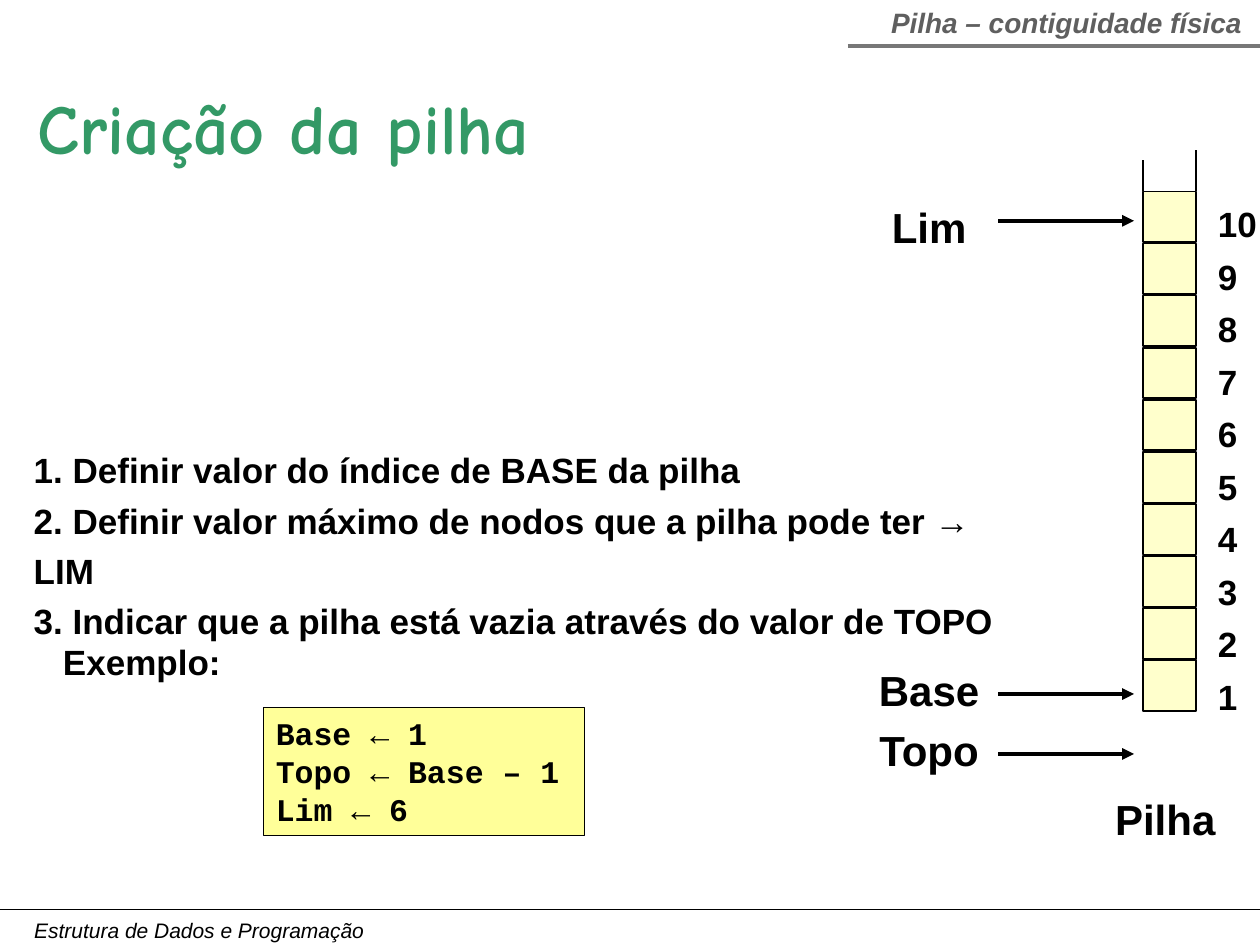
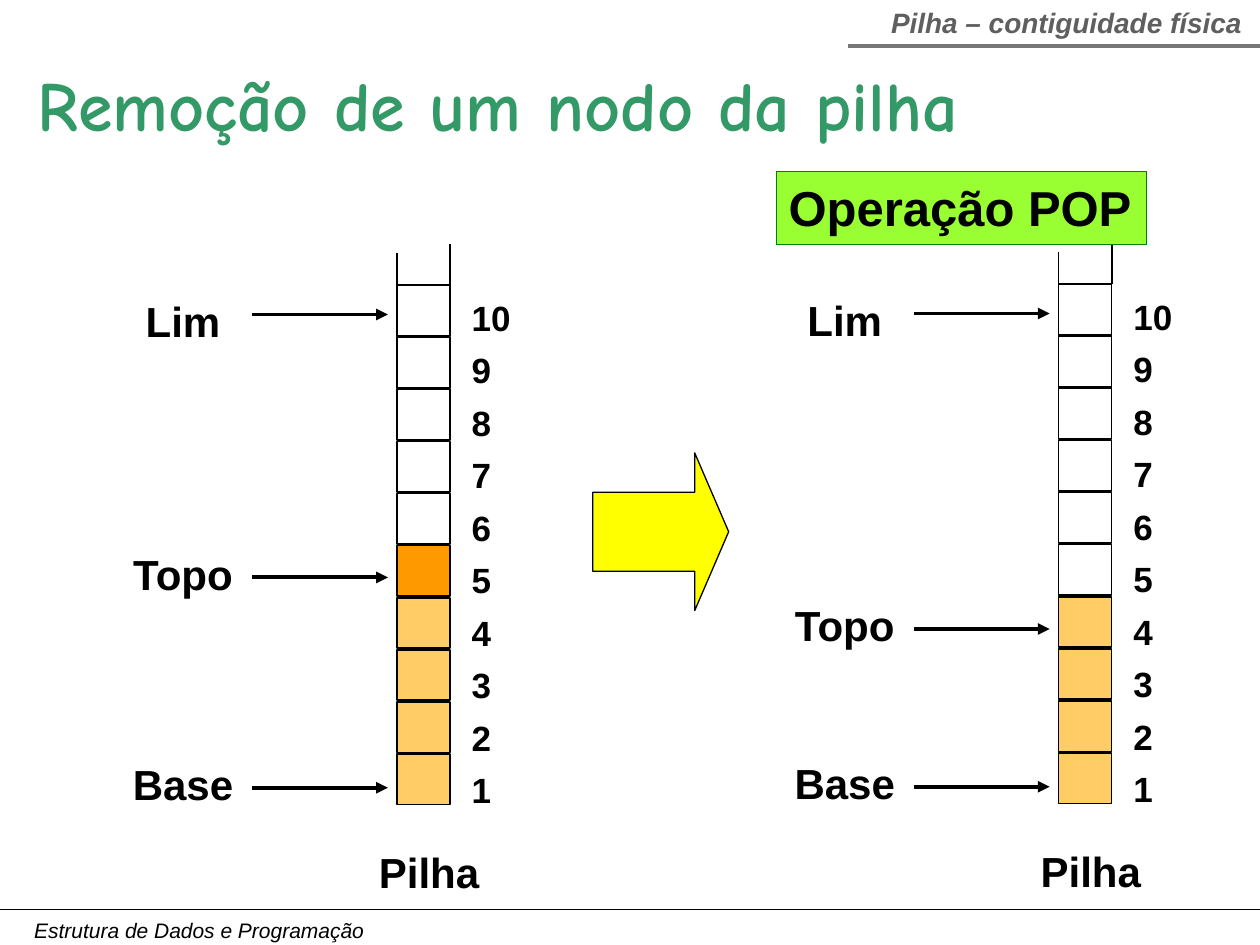
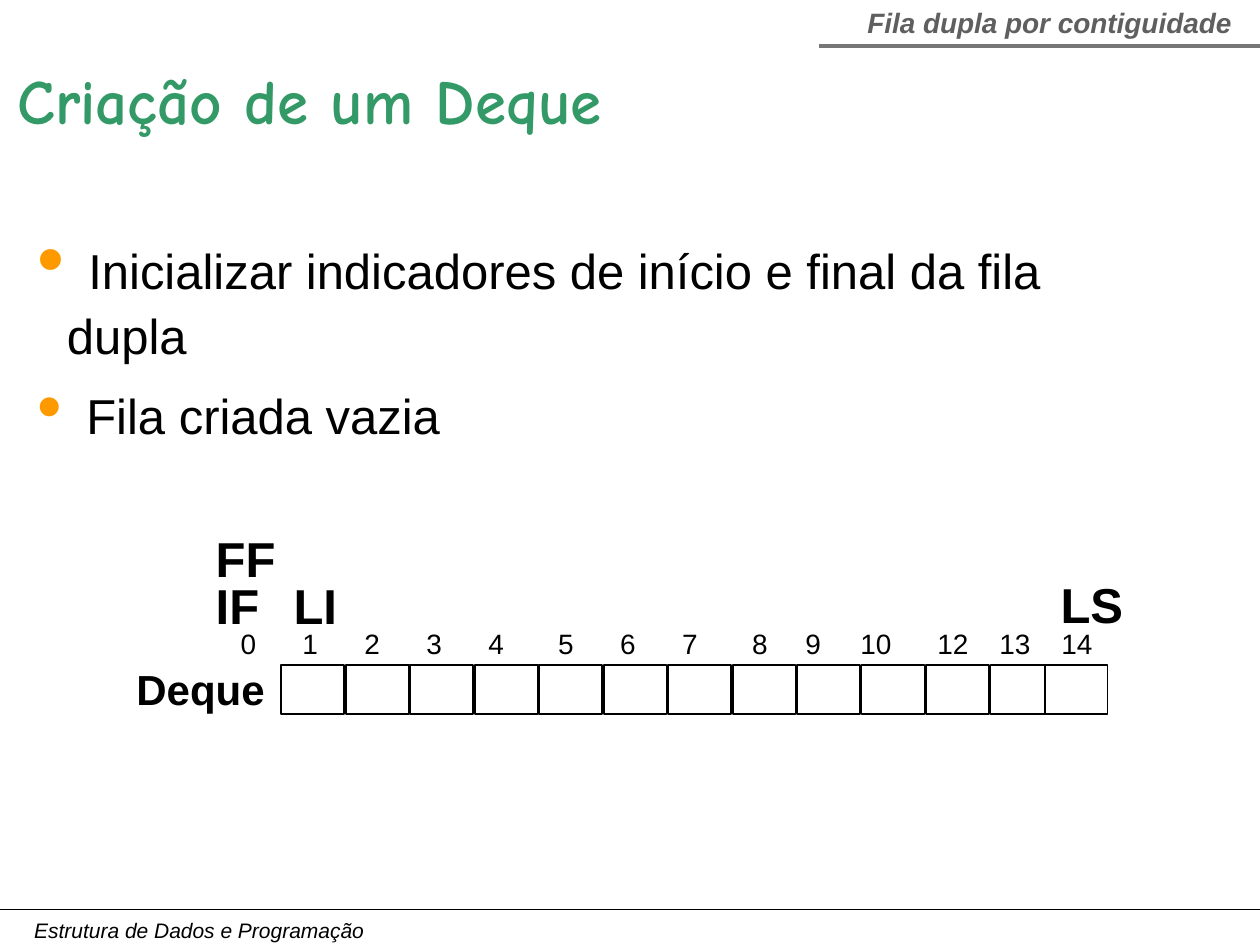
from pptx import Presentation
from pptx.dml.color import RGBColor
from pptx.enum.shapes import MSO_CONNECTOR, MSO_SHAPE
from pptx.enum.text import MSO_ANCHOR, PP_ALIGN
from pptx.oxml.ns import qn
from pptx.util import Cm, Pt
from lxml.etree import SubElement

# Shared colours and fonts
BLACK = RGBColor(0x00, 0x00, 0x00)
WHITE = RGBColor(0xFF, 0xFF, 0xFF)
GREEN = RGBColor(0x33, 0x99, 0x66)
GREY = RGBColor(0x5F, 0x5F, 0x5F)
RULE = RGBColor(0x77, 0x77, 0x77)
CREAM = RGBColor(0xFF, 0xFF, 0xCC)
NOTE = RGBColor(0xFF, 0xFF, 0x99)
TAN = RGBColor(0xFF, 0xCC, 0x66)
ORANGE = RGBColor(0xFF, 0x99, 0x00)
YELLOW = RGBColor(0xFF, 0xFF, 0x00)
LIME = RGBColor(0x99, 0xFF, 0x33)
DARK_GREEN = RGBColor(0x00, 0x80, 0x00)
BODY, TITLE, CODE = "Arial", "Comic Neue", "Courier New"

# Content (positions in cm)
FOOTER = "Estrutura de Dados e Programação"
STACK_HEADER = ("Pilha – contiguidade física", 17.7, 7.6, 17.09)
DEQUE_HEADER = ("Fila dupla por contiguidade", 17.22, 7.88, 16.51)

STEPS = ["1. Definir valor do índice de BASE da pilha",
         "2. Definir valor máximo de nodos que a pilha pode ter → LIM",
         "3. Indicar que a pilha está vazia através do valor de TOPO"]
EXAMPLE = ["Base ← 1", "Topo ← Base – 1", "Lim ← 6"]

# Each stack: place, cell fills from slot 1 up, slot of each pointer, caption offset
EMPTY_STACK = dict(x=23.04, y=3.86, fills=[CREAM] * 10,
                   pointers={"Lim": 10, "Topo": -0.14, "Base": 1}, caption=(-0.81, 12.01))
BEFORE_POP = dict(x=8, y=5.75, fills=[TAN] * 4 + [ORANGE] + [WHITE] * 5,
                  pointers={"Lim": 10, "Topo": 5, "Base": 1}, caption=(-0.61, 11.18))
AFTER_POP = dict(x=21.34, y=5.73, fills=[TAN] * 4 + [WHITE] * 6,
                 pointers={"Lim": 10, "Topo": 4, "Base": 1}, caption=(-0.61, 11.18))

BULLETS = [(44, "Inicializar indicadores de início e final da fila dupla"),
           (40, "Fila criada vazia")]
# Deque numbers and the centres of their tab stops
FIRST_INDEX = "0"
INDEX_TABS = [("1", 1.4), ("2", 2.65), ("3", 3.9), ("4", 5.15), ("5", 6.56),
              ("6", 7.81), ("7", 9.06), ("8", 10.47), ("9", 11.54), ("10", 12.81),
              ("12", 14.36), ("13", 15.61), ("14", 16.86)]
DEQUE_MARKS = [("LI", 5.67, 11.48), ("LS", 21.13, 11.46), ("IF", 4.1, 11.48), ("FF", 4.1, 10.52)]


def add_run(p, text, size, color=BLACK, font=BODY, bold=True, italic=False):
    r = p.add_run()
    r.text = text
    f = r.font
    f.size, f.name, f.bold, f.italic = Pt(size), font, bold, italic
    f.color.rgb = color


def fill_text(s, lines, size, align=PP_ALIGN.LEFT, spacing=None,
              anchor=MSO_ANCHOR.TOP, **style):
    tf = s.text_frame
    tf.word_wrap = True
    tf.vertical_anchor = anchor
    for i, line in enumerate(lines):
        p = tf.add_paragraph() if i else tf.paragraphs[0]
        p.alignment = align
        if spacing:
            p.line_spacing = spacing
        add_run(p, line, size, **style)
    return s


def add_text(sl, x, y, w, h, lines, size, **options):
    s = sl.shapes.add_textbox(Cm(x), Cm(y), Cm(w), Cm(h))
    return fill_text(s, lines, size, **options)


def add_box(sl, x, y, w, h, fill, line=BLACK, weight=1, kind=MSO_SHAPE.RECTANGLE):
    s = sl.shapes.add_shape(kind, Cm(x), Cm(y), Cm(w), Cm(h))
    s.shadow.inherit = False
    s.fill.solid()
    s.fill.fore_color.rgb = fill
    s.line.color.rgb = line
    s.line.width = Pt(weight)
    return s


def add_line(sl, x1, y1, x2, y2, weight, color=BLACK, arrow=False):
    c = sl.shapes.add_connector(MSO_CONNECTOR.STRAIGHT, Cm(x1), Cm(y1), Cm(x2), Cm(y2))
    c.line.color.rgb = color
    c.line.width = Pt(weight)
    if arrow:
        SubElement(c.line._get_or_add_ln(), qn("a:tailEnd"), type="triangle")
    SubElement(c._element.spPr, qn("a:effectLst"))


def new_slide(prs, header, title, x, y, size):
    """Slide with footer, section header and title."""
    sl = prs.slides.add_slide(prs.slide_layouts[6])
    add_text(sl, 0.44, 18.37, 7.4, 0.76, [FOOTER], 12, bold=False, italic=True)
    add_line(sl, 0, 18.33, 25.4, 18.33, 0.75)
    text, left, width, rule = header
    add_line(sl, rule, 0.92, 25.4, 0.92, 2.25, RULE)
    add_text(sl, left, -0.01, width, 0.94, [text], 16, align=PP_ALIGN.CENTER,
             color=GREY, italic=True)
    add_text(sl, x, y, 20.6, 1.96, [title], size, color=GREEN, font=TITLE)
    return sl


def add_stack(sl, x, y, fills, pointers, caption):
    cell_w, cell_h, pitch = 1.07, 1.02, 1.05
    count = len(fills)
    for slot, fill in enumerate(fills, 1):
        add_box(sl, x, y + (count - slot) * pitch, cell_w, cell_h, fill)
    # Open top
    for rail, height in ((x, 0.64), (x + cell_w, 0.84)):
        add_line(sl, rail, y, rail, y - height, 1)
    # Pointers
    for label, slot in pointers.items():
        level = y + 0.59 + (count - slot) * 1.06
        shift = 0.13 if label == "Lim" else -0.08
        add_text(sl, x - 5.81, level + shift - 0.56, 3, 1.12, [label], 24,
                 align=PP_ALIGN.CENTER, anchor=MSO_ANCHOR.MIDDLE)
        add_line(sl, x - 2.92, level, x - 0.18, level, 2.25, arrow=True)
    # Slot numbers and caption
    add_text(sl, x + 1.26, y - 0.11, 1.3, 10.85, [str(n) for n in range(count, 0, -1)],
             20, spacing=1.25)
    dx, dy = caption
    add_text(sl, x + dx, y + dy, 2.7, 1.27, ["Pilha"], 24)


def build_creation(prs):
    sl = new_slide(prs, STACK_HEADER, "Criação da pilha", 0.51, 1.57, 40)
    add_stack(sl, **EMPTY_STACK)
    add_text(sl, 0.43, 8.75, 20.5, 4.3, STEPS, 20, spacing=1.2)
    add_text(sl, 1.02, 12.79, 4.2, 1.09, ["Exemplo:"], 20)
    s = add_box(sl, 5.31, 14.27, 6.48, 2.57, NOTE, weight=0.75)
    fill_text(s, EXAMPLE, 18, font=CODE)


def build_removal(prs):
    sl = new_slide(prs, STACK_HEADER, "Remoção de um nodo da pilha", 0.51, 1.12, 40)
    for stack in (BEFORE_POP, AFTER_POP):
        add_stack(sl, **stack)
    s = add_box(sl, 15.65, 3.46, 7.47, 1.47, LIME, DARK_GREEN, 0.75)
    fill_text(s, ["Operação POP"], 28)
    s = add_box(sl, 11.95, 9.13, 2.74, 3.18, YELLOW, weight=0.75, kind=MSO_SHAPE.RIGHT_ARROW)
    s.adjustments[0], s.adjustments[1] = 0.5, 0.25


def add_bullets(sl):
    tf = sl.shapes.add_textbox(Cm(0.51), Cm(4.17), Cm(22.91), Cm(5)).text_frame
    tf.word_wrap = True
    for i, (size, text) in enumerate(BULLETS):
        p = tf.add_paragraph() if i else tf.paragraphs[0]
        pPr = p._p.get_or_add_pPr()
        pPr.set("marL", str(Cm(0.59)))
        pPr.set("indent", str(-Cm(0.59)))
        color = SubElement(pPr, qn("a:buClr"))
        SubElement(color, qn("a:srgbClr"), val=str(ORANGE))
        SubElement(pPr, qn("a:buFont"), typeface=BODY)
        SubElement(pPr, qn("a:buChar"), char="•")
        add_run(p, " ", size, ORANGE, bold=False)
        add_run(p, text, 28, bold=False)


def build_deque(prs):
    sl = new_slide(prs, DEQUE_HEADER, "Criação de um Deque", 0.1, 1.12, 36)
    add_bullets(sl)
    # Cells, the last one closer to its neighbour
    for left in [5.67 + 1.3 * i for i in range(12)] + [21.06]:
        add_box(sl, left, 13.41, 1.27, 0.99, WHITE)
    # Numbers on centred tab stops
    line = "\t".join([FIRST_INDEX] + [n for n, _ in INDEX_TABS])
    s = add_text(sl, 4.6, 12.51, 18.2, 0.94, [line], 16, bold=False)
    tabs = SubElement(s.text_frame.paragraphs[0]._p.get_or_add_pPr(), qn("a:tabLst"))
    for _, pos in INDEX_TABS:
        SubElement(tabs, qn("a:tab"), pos=str(Cm(pos)), algn="ctr")
    for mark, x, y in DEQUE_MARKS:
        add_text(sl, x, y, 2.2, 1.45, [mark], 28)
    add_text(sl, 2.5, 13.26, 3.3, 1.27, ["Deque"], 24)


def main():
    prs = Presentation()
    prs.slide_width, prs.slide_height = Cm(25.4), Cm(19.05)
    build_creation(prs)
    build_removal(prs)
    build_deque(prs)
    prs.save("out.pptx")


if __name__ == "__main__":
    main()
